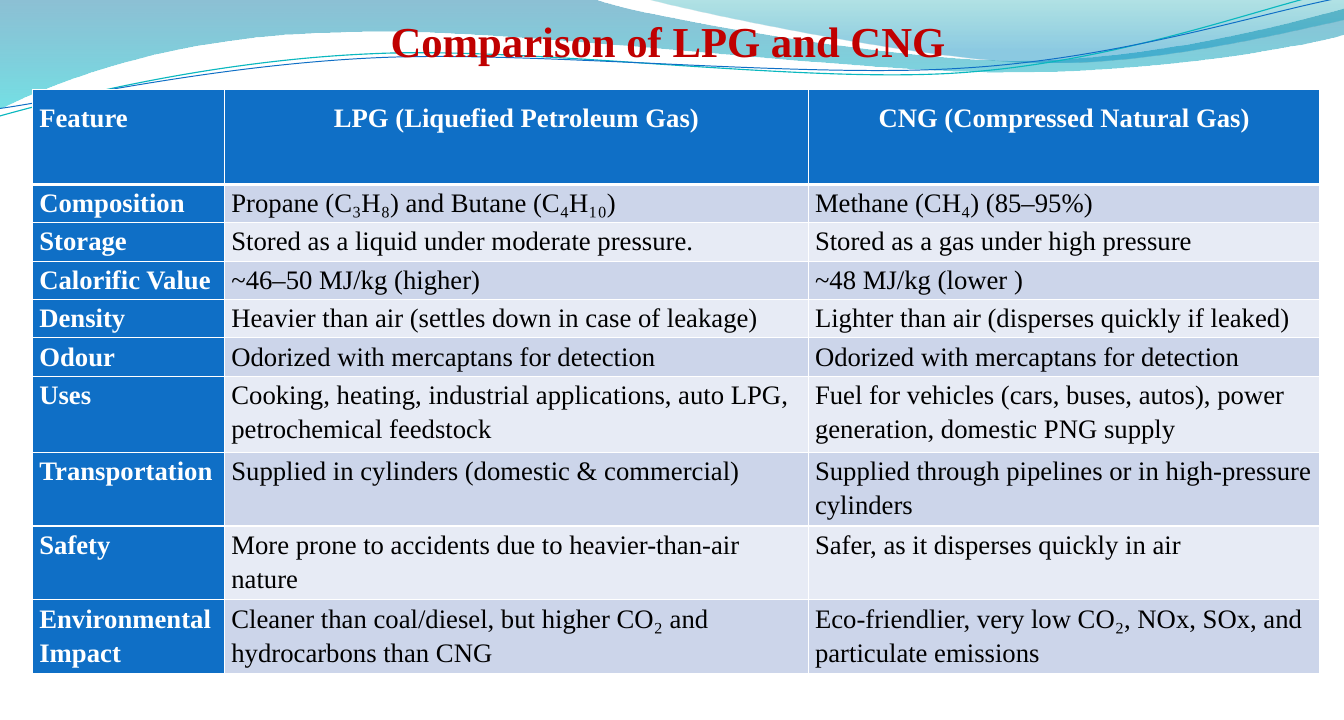
from lxml import etree
from pptx import Presentation
from pptx.dml import color
from pptx.enum import text
from pptx.oxml import ns
from pptx.util import Inches, Pt

HEADER = ("Feature", "LPG (Liquefied Petroleum Gas)", "CNG (Compressed Natural Gas)")
ROWS = [
    ("Composition", "Propane (C₃H₈) and Butane (C₄H₁₀)", "Methane (CH₄) (85–95%)"),
    ("Storage", "Stored as a liquid under moderate pressure.",
     "Stored as a gas under high pressure"),
    ("Calorific Value", "~46–50 MJ/kg (higher)", "~48 MJ/kg (lower )"),
    ("Density", "Heavier than air (settles down in case of leakage)",
     "Lighter than air (disperses quickly if leaked)"),
    ("Odour", "Odorized with mercaptans for detection",
     "Odorized with mercaptans for detection"),
    ("Uses", "Cooking, heating, industrial applications, auto LPG, petrochemical feedstock",
     "Fuel for vehicles (cars, buses, autos), power generation, domestic PNG supply"),
    ("Transportation", "Supplied in cylinders (domestic & commercial)",
     "Supplied through pipelines or in high-pressure cylinders"),
    ("Safety", "More prone to accidents due to heavier-than-air nature",
     "Safer, as it disperses quickly in air"),
    ("Environmental Impact",
     "Cleaner than coal/diesel, but higher CO₂ and hydrocarbons than CNG",
     "Eco-friendlier, very low CO₂, NOx, SOx, and particulate emissions"),
]
COLUMN_WIDTHS = (2, 6.08, 5.33)
ROW_HEIGHTS = [0.99] + [0.4] * 5 + [0.79] + [0.77] * 3

# Each wave starts with a point; 2 numbers continue a line, 6 continue a Bézier curve.
LEFT_WAVE = [
    (-0.01, -0.01), (6.16, -0.01),
    (6.66, 0.17, 9.29, 0.63, 10.62, 0.63), (11.94, 0.63, 13.42, 0.26, 14, 0.09),
    (14.01, 0.36),
    (13.77, 0.44, 12.18, 0.76, 10.44, 0.75), (8.71, 0.75, 5.34, 0.28, 3.6, 0.34),
    (1.81, 0.36, 0.64, 0.83, -0.01, 1.13),
]
RIGHT_WAVE = [
    (6.71, -0.01), (7.13, 0.11, 9.55, 0.62, 10.76, 0.65),
    (11.98, 0.69, 13.46, 0.32, 14, 0.21), (14, 0),
]
TEAL_LINE = [
    (-0.01, 1.21), (0.67, 1.02, 2.21, 0.63, 3.87, 0.56),
    (5.54, 0.48, 8.29, 0.87, 9.97, 0.76), (11.66, 0.65, 13.14, 0.07, 13.98, -0.11),
]
BLUE_LINE = [
    (0, 1.13), (0.66, 1.04, 2.29, 0.67, 3.97, 0.6),
    (5.64, 0.53, 8.36, 0.82, 10.03, 0.71), (11.7, 0.61, 13.18, 0.12, 14, -0.03),
]


def rgb(value):
    return color.RGBColor.from_string(value)


def bend(shape, segments):
    """Turn the straight steps of a freeform into Bézier curves where segments ask for it."""
    steps = list(shape._element.iter(ns.qn("a:lnTo")))
    for step, segment in zip(steps, segments[1:]):
        if len(segment) == 6:
            curve = etree.Element(ns.qn("a:cubicBezTo"))
            for x, y in zip(segment[::2], segment[1::2]):
                etree.SubElement(curve, ns.qn("a:pt"), x=str(Inches(x) - shape.left),
                                 y=str(Inches(y) - shape.top))
            step.getparent().replace(step, curve)


def write(frame, words, *, size, ink, font, bold=False, align=None, spacing=None):
    paragraph = frame.paragraphs[0]
    paragraph.alignment = align
    paragraph.line_spacing = spacing
    run = paragraph.add_run()
    run.text = words
    run.font.name, run.font.size, run.font.bold = font, Pt(size), bold
    run.font.color.rgb = rgb(ink)


def border(cell, sides):
    for side, width in sides.items():
        line = etree.SubElement(cell._tc.get_or_add_tcPr(), ns.qn(f"a:ln{side}"),
                                w=str(Pt(width)))
        fill = etree.SubElement(line, ns.qn("a:solidFill"))
        etree.SubElement(fill, ns.qn("a:srgbClr"), val="FFFFFF")


class Deck:
    font = "Times New Roman"
    blue, white, black, red = "0F6FC6", "FFFFFF", "000000", "C00000"
    bands = ("CCD5EA", "E7EBF5")

    def __init__(self, width, height):
        self.file = Presentation()
        self.file.slide_width, self.file.slide_height = Inches(width), Inches(height)
        self.slide = self.file.slides.add_slide(self.file.slide_layouts[6])

    def outline(self, segments, close):
        anchors = [(Inches(segment[-2]), Inches(segment[-1])) for segment in segments]
        builder = self.slide.shapes.build_freeform(*anchors[0])
        builder.add_line_segments(anchors[1:], close=close)
        shape = builder.convert_to_shape()
        shape.shadow.inherit = False
        bend(shape, segments)
        return shape

    def wave(self, segments, stops):
        """Fill a closed shape from top to bottom; stops are (position, colour, opacity)."""
        shape = self.outline(segments, True)
        shape.line.fill.background()
        shape.fill.gradient()
        shape.fill.gradient_angle = 270
        for stop, (position, ink, opacity) in zip(shape.fill.gradient_stops, stops):
            stop.position = position
            stop.color.rgb = rgb(ink)
            value = stop._gs.find(ns.qn("a:srgbClr"))
            etree.SubElement(value, ns.qn("a:alpha"), val=str(opacity * 1000))

    def curve(self, segments, ink, width):
        shape = self.outline(segments, False)
        shape.fill.background()
        shape.line.color.rgb = rgb(ink)
        shape.line.width = Pt(width)

    def title(self, words, left, top, width, height):
        box = self.slide.shapes.add_textbox(*map(Inches, (left, top, width, height)))
        box.text_frame.word_wrap = False
        box.text_frame.auto_size = text.MSO_AUTO_SIZE.SHAPE_TO_FIT_TEXT
        write(box.text_frame, words, size=32, ink=self.red, font=self.font, bold=True)

    def table(self, rows, left, top, widths, heights):
        table = self.slide.shapes.add_table(
            len(rows), len(widths),
            *map(Inches, (left, top, sum(widths), sum(heights)))).table
        table.horz_banding = False
        for column, width in zip(table.columns, widths):
            column.width = Inches(width)
        for r, (row, height) in enumerate(zip(rows, heights)):
            table.rows[r].height = Inches(height)
            for c, words in enumerate(row):
                self.cell(table.cell(r, c), words, r, c)

    def cell(self, cell, words, r, c):
        is_header, is_label = r == 0, r == 0 or c == 0
        cell.margin_left = cell.margin_right = Inches(0.07)
        cell.margin_top = cell.margin_bottom = 0
        border(cell, {"L": 1, "R": 1, "T": 3 if r == 1 else 1, "B": 3 if is_header else 1})
        cell.fill.solid()
        cell.fill.fore_color.rgb = rgb(self.blue if is_label else self.bands[(r - 1) % 2])
        write(cell.text_frame, words, size=20, font=self.font, bold=is_label,
              ink=self.white if is_label else self.black,
              align=text.PP_ALIGN.CENTER if is_header and c else text.PP_ALIGN.LEFT,
              spacing=1.5 if is_header else 1.15)


def main():
    deck = Deck(14, 7.5)
    deck.wave(LEFT_WAVE, [(0, "0074A1", 45), (1, "00C6CF", 55)])
    deck.wave(RIGHT_WAVE, [(0, "00A1A9", 30), (0.8, "008BBF", 45)])
    deck.curve(TEAL_LINE, "0AB8BF", 0.85)
    deck.curve(BLUE_LINE, deck.blue, 0.75)
    deck.table([HEADER] + ROWS, 0.34, 0.93, COLUMN_WIDTHS, ROW_HEIGHTS)
    deck.title("Comparison of LPG and CNG", 3.97, 0.11, 6.03, 0.64)
    deck.file.save("out.pptx")


if __name__ == "__main__":
    main()
